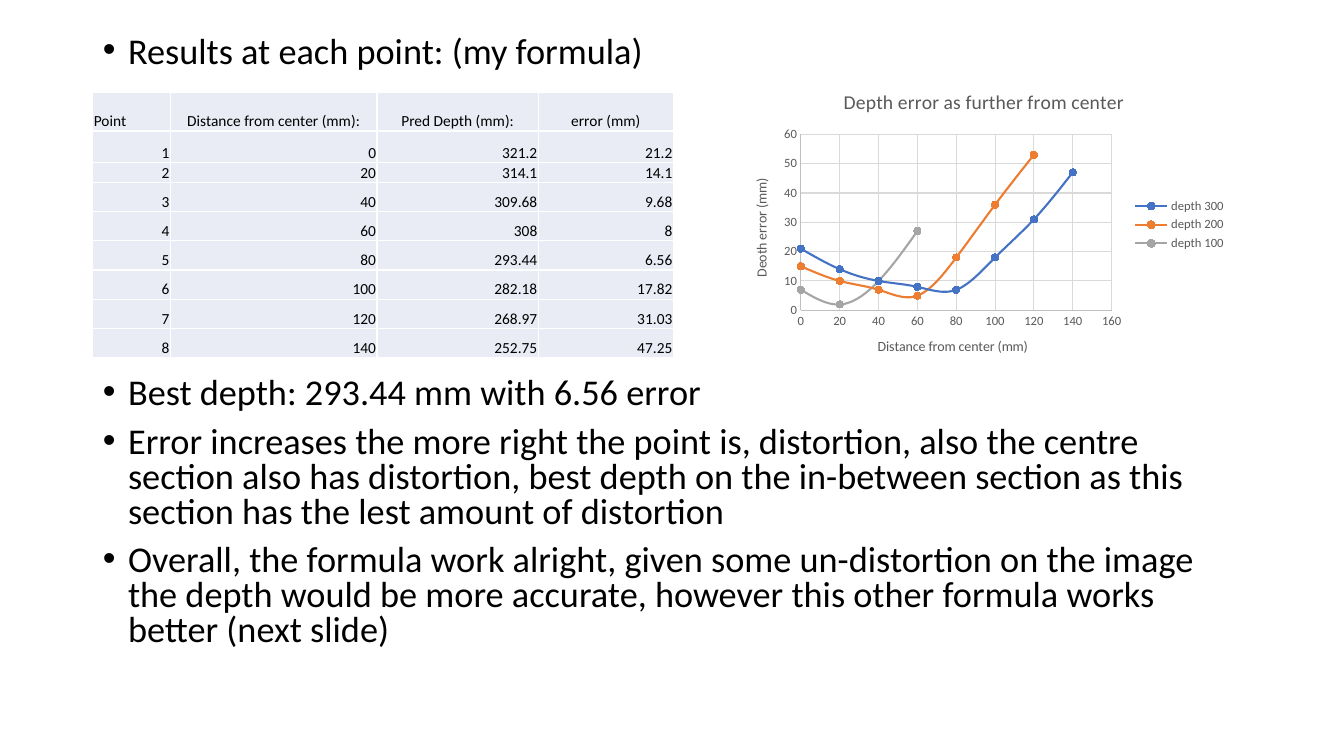
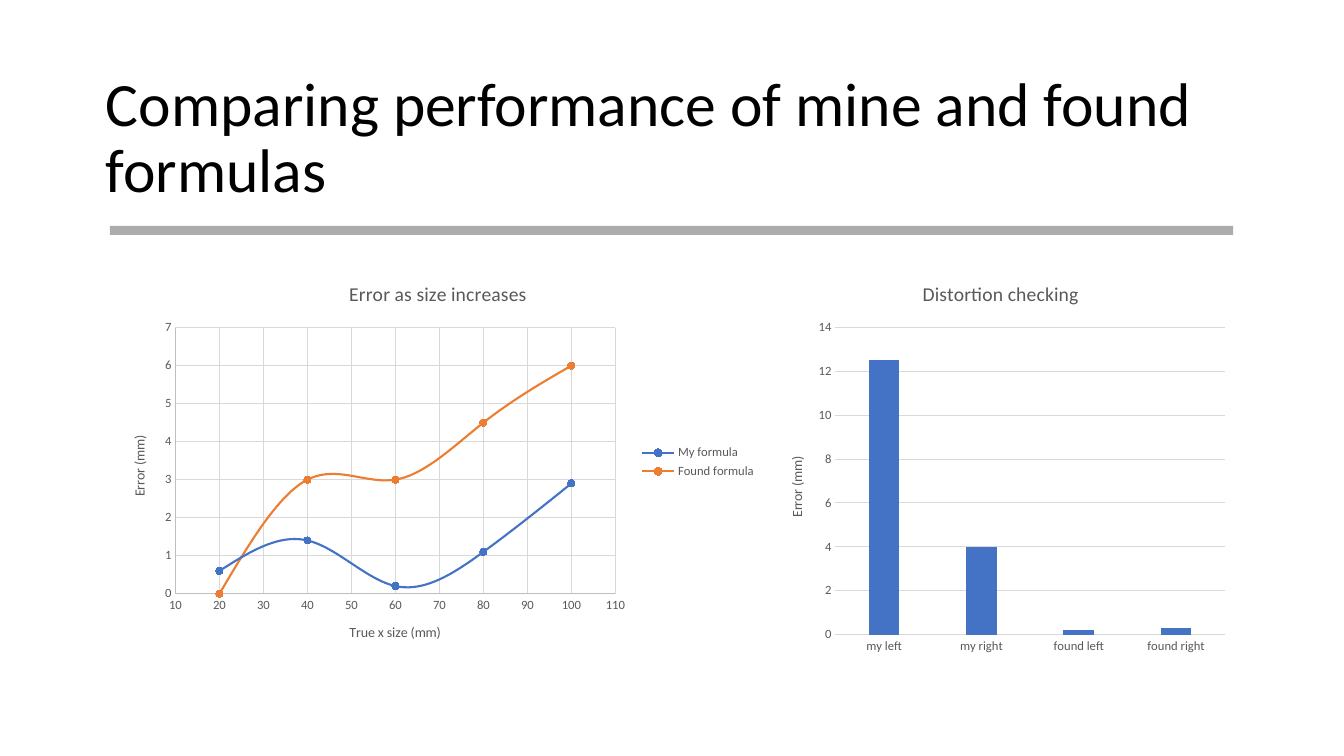
from lxml import etree
from pptx import Presentation
from pptx.chart.data import CategoryChartData as CatData, XyChartData as XyData
from pptx.dml.color import RGBColor as RGB
from pptx.enum.chart import XL_CHART_TYPE as Kind, XL_LEGEND_POSITION as Side
from pptx.enum.chart import XL_MARKER_STYLE as Mark, XL_TICK_MARK as Tick
from pptx.enum.shapes import MSO_SHAPE as Form
from pptx.enum.text import MSO_ANCHOR as Anchor, MSO_AUTO_SIZE as Fit, PP_ALIGN as Align
from pptx.oxml import parse_xml
from pptx.oxml.ns import nsdecls, qn
from pptx.util import Inches, Pt

# Shared colours
BLACK = RGB(0, 0, 0)
TEXT = RGB(0x59, 0x59, 0x59)
GRID = RGB(0xD9, 0xD9, 0xD9)
AXIS = RGB(0xBF, 0xBF, 0xBF)
CELL = RGB(0xE9, 0xEB, 0xF5)
RULE = RGB(0x80, 0x80, 0x80)
HUES = [RGB(0x44, 0x72, 0xC4), RGB(0xED, 0x7D, 0x31), RGB(0xA5, 0xA5, 0xA5)]


def style(font, size, hue):
    look = {"name": "Calibri", "size": Pt(size), "bold": False}
    for key, val in look.items():
        setattr(font, key, val)
    font.color.rgb = hue


def draw(slide, kind, box, data, title, names, scales):
    """Add a chart; names and scales hold one entry for each axis, x then y."""
    chart = slide.shapes.add_chart(kind, *[Inches(n) for n in box], data).chart
    xy = kind == Kind.XY_SCATTER_SMOOTH
    style(chart.font, 10, BLACK)
    chart.has_title = True
    chart.chart_title.text_frame.text = title
    style(chart.chart_title.text_frame.paragraphs[0].runs[0].font, 14, TEXT)

    # Axes
    for axis, name, scale in zip((chart.category_axis, chart.value_axis), names, scales):
        style(axis.tick_labels.font, 9, TEXT)
        axis.major_tick_mark = axis.minor_tick_mark = Tick.NONE
        axis.format.line.width = Pt(0.75)
        axis.format.line.color.rgb = AXIS if xy else GRID
        axis.has_major_gridlines = bool(scale)
        if scale:
            keys = ("minimum_scale", "maximum_scale", "major_unit")
            for key, val in zip(keys, scale):
                setattr(axis, key, val)
            line = axis.major_gridlines.format.line
            line.width = Pt(0.75)
            line.color.rgb = GRID
        axis.has_title = bool(name)
        if name:
            frame = axis.axis_title.text_frame
            frame.text = name
            style(frame.paragraphs[0].runs[0].font, 10, TEXT)

    # Legend and series
    chart.has_legend = xy
    plot = chart.plots[0]
    plot.vary_by_categories = False
    if xy:
        chart.legend.position = Side.RIGHT
        chart.legend.include_in_layout = False
        style(chart.legend.font, 9, TEXT)
    else:
        plot.gap_width, plot.overlap = 219, -27
        chart.value_axis.format.line.fill.background()
    for ser, hue in zip(plot.series, HUES):
        if not xy:
            ser.format.fill.solid()
            ser.format.fill.fore_color.rgb = hue
            continue
        ser.format.line.width = Pt(1.5)
        ser.format.line.color.rgb = hue
        ser.marker.style, ser.marker.size = Mark.CIRCLE, 5
        ser.marker.format.fill.solid()
        ser.marker.format.fill.fore_color.rgb = hue
        ser.marker.format.line.color.rgb = hue
        ser._element.find(qn("c:smooth")).set("val", "1")


deck = Presentation()
deck.slide_width, deck.slide_height = Inches(13.33), Inches(7.5)

# Slide 1: results at each point
page = deck.slides.add_slide(deck.slide_layouts[1])
head = page.shapes.title
head._element.getparent().remove(head._element)
body = page.placeholders[1]
body.left, body.top, body.width, body.height = [Inches(n) for n in (0.92, 0.31, 11.5, 6.44)]
frame = body.text_frame
frame.auto_size = Fit.NONE
points = [
    ("Results at each point: (my formula)", 10),
    ("Best depth: 293.44 mm with 6.56 error", 219),
    ("Error increases the more right the point is, distortion, also the centre section "
     "also has distortion, best depth on the in-between section as this section has the "
     "lest amount of distortion", 10),
    ("Overall, the formula work alright, given some un-distortion on the image the depth "
     "would be more accurate, however this other formula works better (next slide)", 10),
]
frame.text = "\n".join(text for text, gap in points)
for para, (text, gap) in zip(frame.paragraphs, points):
    para.line_spacing, para.space_before = 0.8, Pt(gap)
    props = para._p.get_or_add_pPr()
    props.set("marL", str(Inches(0.25)))
    props.set("indent", str(Inches(-0.25)))
    style(para.runs[0].font, 25.9, BLACK)

# Table of depths
rows = [
    ("Point", "Distance from center (mm):", "Pred Depth (mm):", "error (mm)"),
    ("1", "0", "321.2", "21.2"),
    ("2", "20", "314.1", "14.1"),
    ("3", "40", "309.68", "9.68"),
    ("4", "60", "308", "8"),
    ("5", "80", "293.44", "6.56"),
    ("6", "100", "282.18", "17.82"),
    ("7", "120", "268.97", "31.03"),
    ("8", "140", "252.75", "47.25"),
]
box = [Inches(n) for n in (0.92, 0.92, 5.75, 2.63)]
table = page.shapes.add_table(len(rows), 4, *box).table
table.first_row = table.horz_banding = False
for col, wide in zip(table.columns, (0.77, 2.05, 1.6, 1.34)):
    col.width = Inches(wide)
for row, high in zip(table.rows, [0.38, 0.31, 0.19] + [0.29] * 6):
    row.height = Inches(high)
pad = {"margin_left": 0.01, "margin_right": 0.01, "margin_top": 0.01, "margin_bottom": 0}
for r, row in enumerate(rows):
    for c, text in enumerate(row):
        cell = table.cell(r, c)
        cell.text = text
        cell.vertical_anchor = Anchor.BOTTOM
        for key, val in pad.items():
            setattr(cell, key, Inches(val))
        para = cell.text_frame.paragraphs[0]
        para.alignment = Align.RIGHT if r else Align.CENTER if c else Align.LEFT
        style(para.runs[0].font, 11, BLACK)
        for side in "LRTB":
            cell._tc.get_or_add_tcPr().append(parse_xml(
                f'<a:ln{side} {nsdecls("a")} w="12700"><a:solidFill>'
                f'<a:srgbClr val="FFFFFF"/></a:solidFill></a:ln{side}>'))
        cell.fill.solid()
        cell.fill.fore_color.rgb = CELL

# Depth error chart
data = XyData()
depths = {
    "depth 300": (21, 14, 10, 8, 7, 18, 31, 47),
    "depth 200": (15, 10, 7, 5, 18, 36, 53),
    "depth 100": (7, 2, 10, 27),
}
for name, vals in depths.items():
    ser = data.add_series(name)
    for i, val in enumerate(vals):
        ser.add_data_point(20 * i, val)
draw(page, Kind.XY_SCATTER_SMOOTH, (7.26, 0.73, 5, 3), data,
     "Depth error as further from center",
     ("Distance from center (mm)", "Deoth error (mm)"), ((0, 160, 20), (0, 60, 10)))

# Slide 2: comparing formulas
page = deck.slides.add_slide(deck.slide_layouts[5])
head = page.shapes.title
head.left, head.top, head.width, head.height = [Inches(n) for n in (0.95, 0.66, 11.43, 1.45)]
head.text_frame.text = "Comparing performance of mine and found formulas"
head.text_frame.auto_size = Fit.NONE
head.text_frame.vertical_anchor = Anchor.MIDDLE
para = head.text_frame.paragraphs[0]
para.alignment, para.line_spacing = Align.LEFT, 0.9
style(para.runs[0].font, 44, BLACK)

# Rule under the title
bar = page.shapes.add_shape(Form.RECTANGLE, *[Inches(n) for n in (1.09, 2.24, 11.14, 0.09)])
bar.shadow.inherit = False
bar.line.fill.background()
bar.fill.solid()
bar.fill.fore_color.rgb = RULE
tint = bar._element.spPr.find(".//" + qn("a:srgbClr"))
etree.SubElement(tint, qn("a:alpha")).set("val", "65000")

# Error by size
data = XyData()
errors = {"My formula": (0.6, 1.4, 0.2, 1.1, 2.9), "Found formula": (0, 3, 3, 4.5, 6)}
for name, vals in errors.items():
    ser = data.add_series(name)
    for i, val in enumerate(vals, 1):
        ser.add_data_point(20 * i, val)
draw(page, Kind.XY_SCATTER_SMOOTH, (1.09, 2.61, 6.51, 3.95), data,
     "Error as size increases", ("True x size (mm)", "Error (mm)"),
     ((10, 110, 10), (0, 7, 1)))

# Distortion by side
data = CatData()
data.categories = ["my left", "my right", "found left", "found right"]
data.add_series("Series 1", (12.5, 4, 0.2, 0.3))
draw(page, Kind.COLUMN_CLUSTERED, (7.61, 2.61, 4.63, 3.95), data,
     "Distortion checking", (None, "Error (mm)"), (None, (0, 14, 2)))

deck.save("out.pptx")
